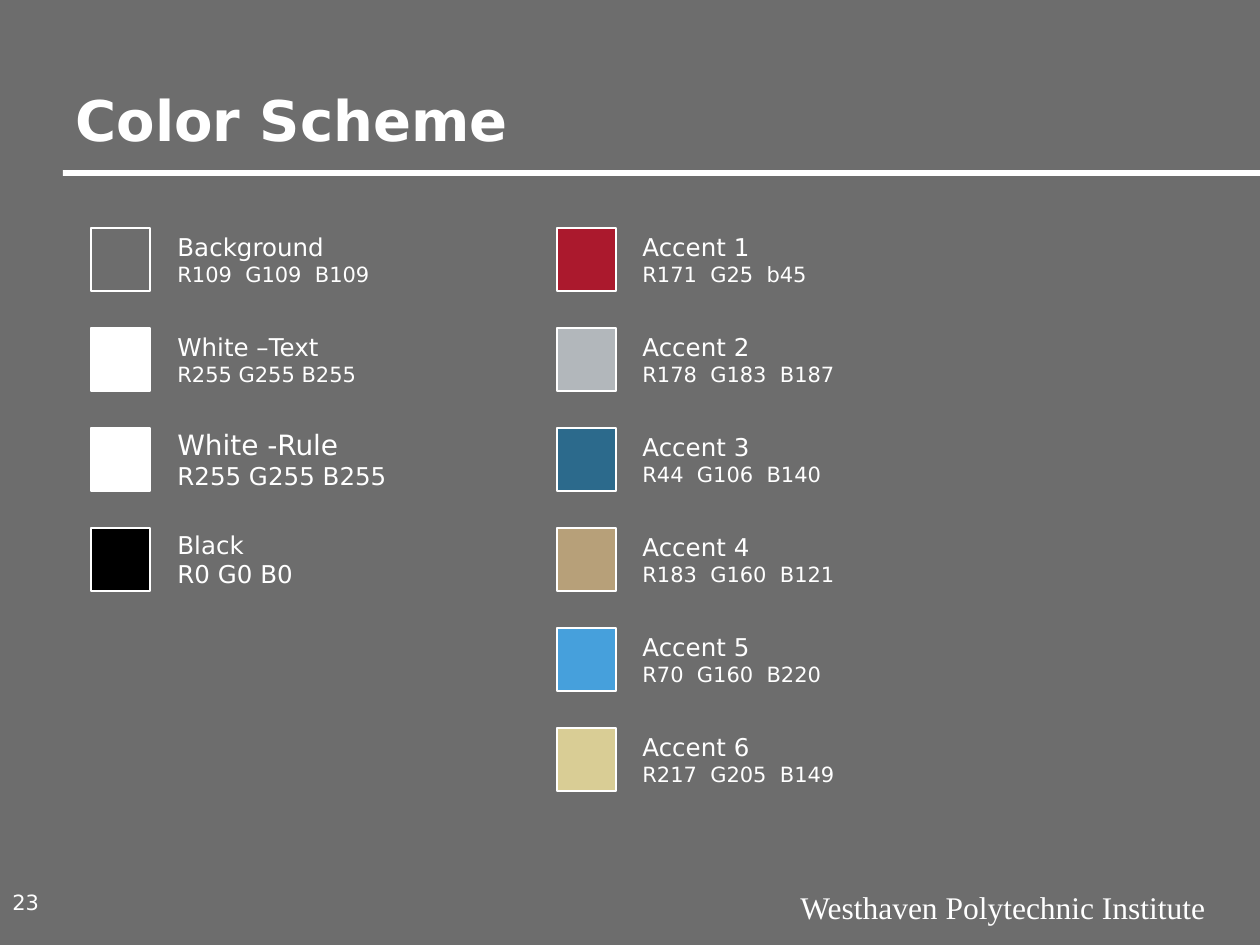
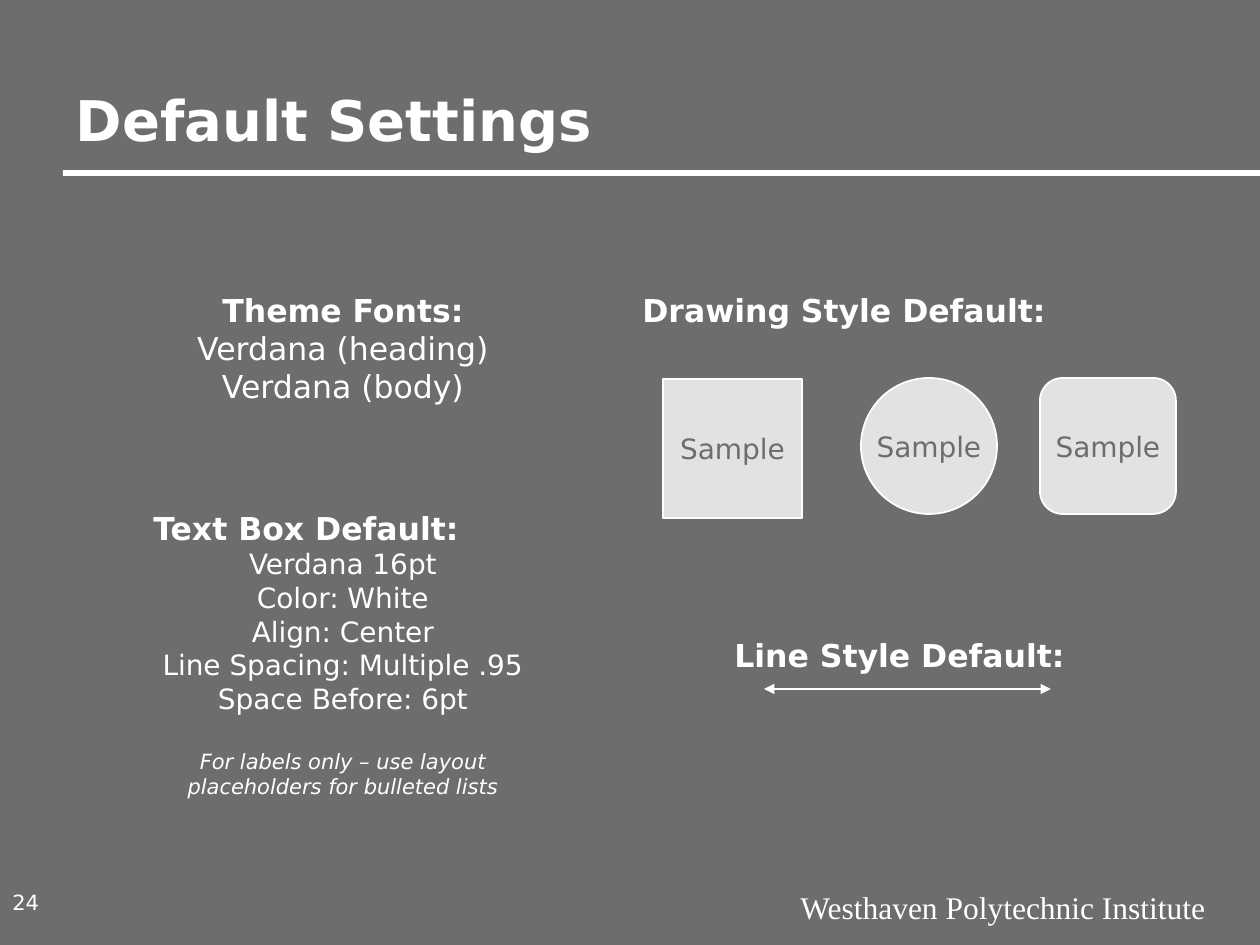
import pptx
import pptx.dml.color
import pptx.enum.shapes
import pptx.enum.text
import pptx.oxml
import pptx.oxml.ns
import pptx.util
from lxml import etree

RGBColor = pptx.dml.color.RGBColor
Pt = pptx.util.Pt
SHAPE = pptx.enum.shapes.MSO_SHAPE
ALIGN = pptx.enum.text.PP_ALIGN
ANCHOR = pptx.enum.text.MSO_ANCHOR

GRAY = RGBColor(109, 109, 109)
WHITE = RGBColor(255, 255, 255)
BLACK = RGBColor(0, 0, 0)
RED = RGBColor(171, 25, 45)
SILVER = RGBColor(178, 183, 187)
TEAL = RGBColor(44, 106, 140)
TAN = RGBColor(183, 160, 121)
BLUE = RGBColor(70, 160, 220)
SAND = RGBColor(217, 205, 149)
PALE = RGBColor(224, 226, 228)

SANS = "DejaVu Sans"
SERIF = "Times New Roman"
INSTITUTE = "Westhaven Polytechnic Institute"

# Swatch columns: left of swatch, left of label, then
# (colour, name, values, name size, values size, label width)
SWATCH_COLUMNS = [
    (91, 165, [
        (GRAY, "Background", "R109  G109  B109", 14, 12, 231),
        (WHITE, "White –Text", "R255 G255 B255", 14, 12, 208),
        (WHITE, "White -Rule", "R255 G255 B255", 16, 14, 237),
        (BLACK, "Black", "R0 G0 B0", 14, 14, 144),
    ]),
    (557, 630, [
        (RED, "Accent 1", "R171  G25  b45", 14, 12, 194),
        (SILVER, "Accent 2", "R178  G183  B187", 14, 12, 223),
        (TEAL, "Accent 3", "R44  G106  B140", 14, 12, 209),
        (TAN, "Accent 4", "R183  G160  B121", 14, 12, 223),
        (BLUE, "Accent 5", "R70  G160  B220", 14, 12, 209),
        (SAND, "Accent 6", "R217  G205  B149", 14, 12, 223),
    ]),
]
SWATCH_TOP, SWATCH_PITCH, SWATCH_WIDTH, SWATCH_HEIGHT = 228, 100, 59, 63

# Paragraphs: (text, formatting)
HEADING = dict(size=18, bold=True)
THEME_FONTS = [
    ("Theme Fonts:", dict(HEADING, align=ALIGN.CENTER)),
    ("Verdana (heading)", dict(size=18, align=ALIGN.CENTER)),
    ("Verdana (body)", dict(size=18, align=ALIGN.CENTER)),
]
TEXT_BOX_DEFAULTS = [
    ("Text Box Default:", HEADING),
    *[(setting, dict(size=16, align=ALIGN.CENTER)) for setting in (
        "Verdana 16pt", "Color: White", "Align: Center",
        "Line Spacing: Multiple .95", "Space Before: 6pt")],
    ("For labels only – use layout placeholders for bulleted lists",
     dict(size=12, italic=True, align=ALIGN.CENTER, before=19)),
]
SETTINGS_TEXTS = [  # box, paragraphs, wraps
    ((141, 285, 404, 127), THEME_FONTS, True),
    ((141, 503, 404, 305), TEXT_BOX_DEFAULTS, True),
    ((630, 285, 554, 79), [("Drawing Style Default:", HEADING)], False),
    ((722, 630, 370, 79), [("Line Style Default:", HEADING)], False),
]
SAMPLES = [  # shape, left, top, side
    (SHAPE.RECTANGLE, 663, 379, 139),
    (SHAPE.OVAL, 861, 378, 136),
    (SHAPE.ROUNDED_RECTANGLE, 1040, 378, 136),
]
LINE_SAMPLE = (764, 689, 1051, 689)


def px(*lengths):
    """Turn pixels, 126 to the inch, into EMU."""
    return [round(length * 914400 / 126) for length in lengths]


def format_paragraph(paragraph, text, size, color=WHITE, font=SANS, bold=False,
                     italic=False, align=ALIGN.LEFT, before=0):
    paragraph.text = text
    paragraph.alignment = align
    paragraph.space_before = Pt(before)
    paragraph.font.size = Pt(size)
    paragraph.font.name = font
    paragraph.font.bold = bold
    paragraph.font.italic = italic
    paragraph.font.color.rgb = color


def fill_text(frame, paragraphs, wrap=True, anchor=ANCHOR.TOP):
    frame.word_wrap = wrap
    frame.vertical_anchor = anchor
    for index, (text, style) in enumerate(paragraphs):
        paragraph = frame.add_paragraph() if index else frame.paragraphs[0]
        format_paragraph(paragraph, text, **style)


def add_text(slide, box, paragraphs, **layout):
    fill_text(slide.shapes.add_textbox(*px(*box)).text_frame, paragraphs, **layout)


def add_block(slide, kind, box, fill, line_width=0):
    block = slide.shapes.add_shape(kind, *px(*box))
    block.shadow.inherit = False
    block.fill.solid()
    block.fill.fore_color.rgb = fill
    if line_width:
        block.line.color.rgb = WHITE
        block.line.width = Pt(line_width)
    else:
        block.line.fill.background()
    return block


def add_double_arrow(slide, ends):
    arrow = slide.shapes.add_connector(
        pptx.enum.shapes.MSO_CONNECTOR.STRAIGHT, *px(*ends))
    arrow.line.color.rgb = WHITE
    arrow.line.width = Pt(1.5)
    qn = pptx.oxml.ns.qn
    outline = arrow.line._get_or_add_ln()
    for end in ("a:headEnd", "a:tailEnd"):
        etree.SubElement(outline, qn(end), type="triangle")
    etree.SubElement(arrow._element.spPr, qn("a:effectLst"))


def add_slide(deck, title, number):
    """Add a slide with the shared title, rule, footer and number."""
    slide = deck.slides.add_slide(deck.slide_layouts.get_by_name("Title Only"))
    heading = slide.shapes.title
    heading.left, heading.top, heading.width, heading.height = px(63, 48, 1134, 111)
    fill_text(heading.text_frame, [(title, dict(size=32, bold=True))],
              anchor=ANCHOR.BOTTOM)
    add_block(slide, SHAPE.RECTANGLE, (63, 170, 1197, 6), WHITE)
    add_text(slide, (756, 882, 462, 50),
             [(INSTITUTE, dict(size=18, font=SERIF, align=ALIGN.RIGHT))])
    add_text(slide, (0, 881, 63, 43), [(number, dict(size=12))],
             anchor=ANCHOR.MIDDLE)
    return slide


def add_color_scheme(deck):
    slide = add_slide(deck, "Color Scheme", "23")
    for swatch_left, label_left, swatches in SWATCH_COLUMNS:
        for row, (color, name, values, name_size, values_size, width) in enumerate(swatches):
            top = SWATCH_TOP + row * SWATCH_PITCH
            add_block(slide, SHAPE.RECTANGLE,
                      (swatch_left, top, SWATCH_WIDTH, SWATCH_HEIGHT), color, 0.75)
            height = 13 + round(2.1 * (name_size + values_size))
            label_top = top + (SWATCH_HEIGHT - height) // 2
            add_text(slide, (label_left, label_top, width, height),
                     [(name, dict(size=name_size)), (values, dict(size=values_size))],
                     wrap=False, anchor=ANCHOR.MIDDLE)


def add_default_settings(deck):
    slide = add_slide(deck, "Default Settings", "24")
    for box, paragraphs, wrap in SETTINGS_TEXTS:
        add_text(slide, box, paragraphs, wrap=wrap)
    for kind, left, top, side in SAMPLES:
        sample = add_block(slide, kind, (left, top, side, side), PALE, 1)
        fill_text(sample.text_frame,
                  [("Sample", dict(size=16, color=GRAY, align=ALIGN.CENTER))],
                  wrap=False, anchor=ANCHOR.MIDDLE)
    add_double_arrow(slide, LINE_SAMPLE)


def main():
    deck = pptx.Presentation()
    deck.slide_width, deck.slide_height = px(1260, 945)
    background = deck.slide_master.background.fill
    background.solid()
    background.fore_color.rgb = GRAY
    add_color_scheme(deck)
    add_default_settings(deck)
    deck.save("out.pptx")


if __name__ == "__main__":
    main()
